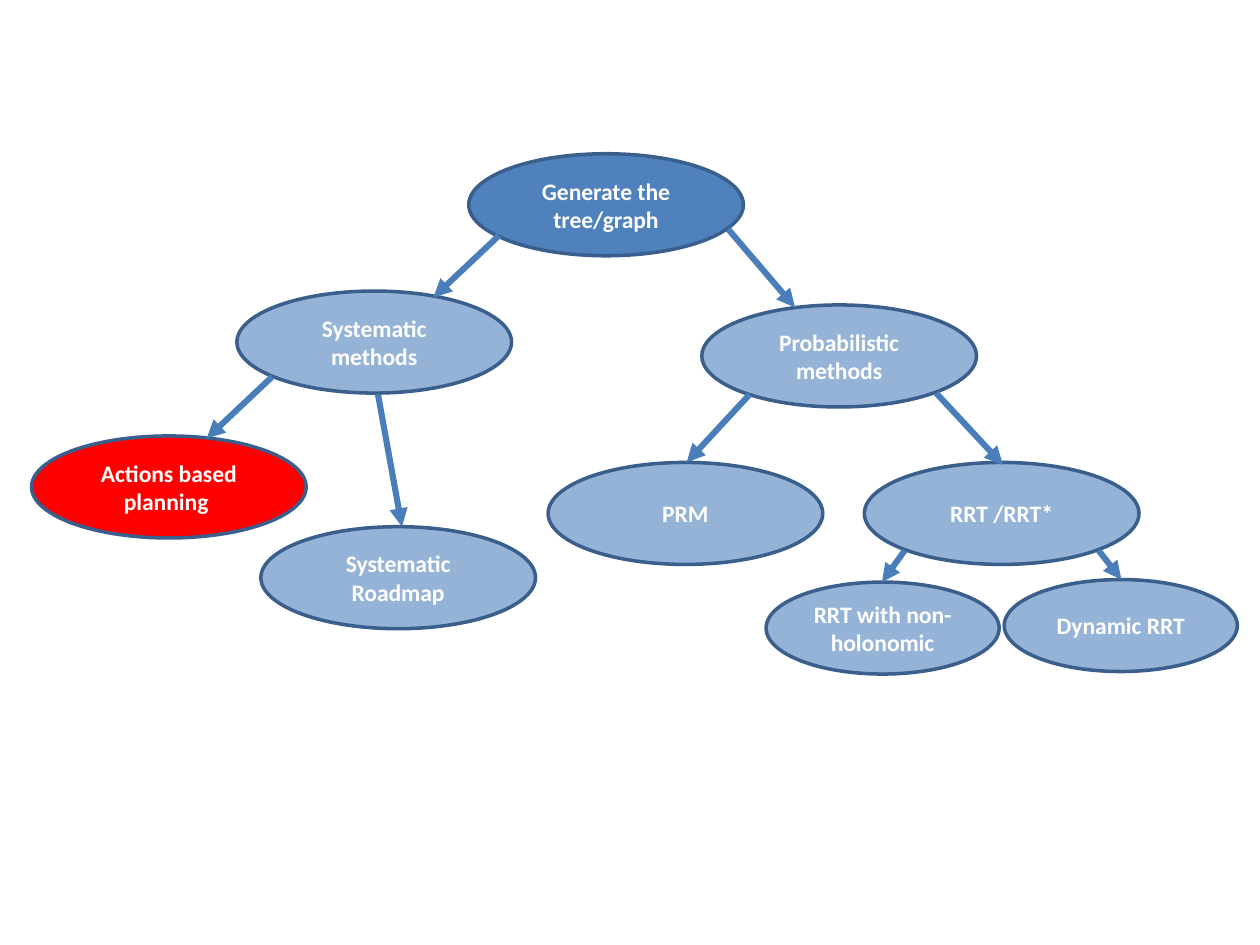
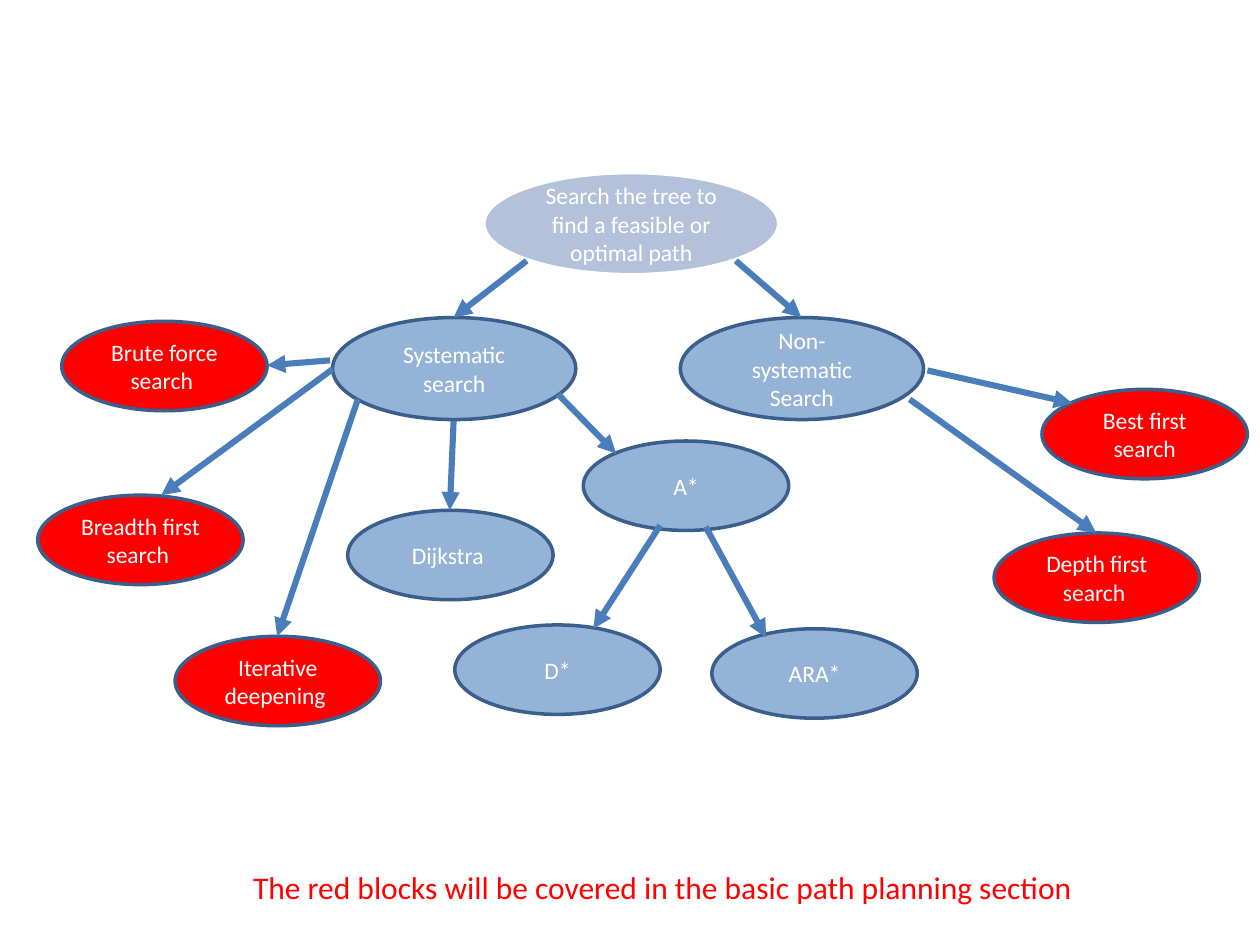
from pptx import Presentation
from pptx.dml.color import RGBColor
from pptx.enum.shapes import MSO_CONNECTOR, MSO_SHAPE
from pptx.enum.text import MSO_ANCHOR, PP_ALIGN
from pptx.oxml.ns import qn
from pptx.util import Pt
from lxml.etree import SubElement

PX = 9144  # EMU in one px, 100 px to the inch

WHITE = RGBColor(0xFF, 0xFF, 0xFF)
RED = RGBColor(0xFF, 0x00, 0x00)
BLUE = RGBColor(0x4F, 0x81, 0xBD)
LIGHT = RGBColor(0x95, 0xB3, 0xD7)
PALE = RGBColor(0xB3, 0xC1, 0xDB)
OUTLINE = RGBColor(0x3A, 0x5F, 0x8C)
ARROW = RGBColor(0x4A, 0x7E, 0xBB)

# Node sizes: width, height
METHOD = (218, 81)
VARIANT = (185, 73)
GOAL = (234, 81)
FAMILY = (193, 81)
ALGORITHM = (163, 71)

# Nodes: text, left, top, size, fill; arrows: from x, y, to x, y
METHOD_NODES = [
    ("Generate the tree/graph", 347, 0, METHOD, BLUE),
    ("Systematic methods", 163, 109, METHOD, LIGHT),
    ("Probabilistic methods", 532, 120, METHOD, LIGHT),
    ("Actions based planning ", 0, 224, METHOD, RED),
    ("Systematic Roadmap", 182, 296, METHOD, LIGHT),
    ("PRM", 410, 245, METHOD, LIGHT),
    ("RRT /RRT*", 661, 245, METHOD, LIGHT),
    ("RRT with non-holonomic", 583, 340, VARIANT, LIGHT),
    ("Dynamic RRT", 772, 338, VARIANT, LIGHT),
]
METHOD_ARROWS = [
    (371, 65, 319, 114),
    (553, 60, 606, 122),
    (191, 177, 139, 226),
    (275, 191, 294, 296),
    (570, 191, 520, 245),
    (718, 190, 771, 247),
    (693, 315, 675, 340),
    (847, 315, 865, 338),
]
SEARCH_NODES = [
    ("Search the tree to find a feasible or optimal path", 354, 0, GOAL, PALE),
    ("Systematic search", 234, 115, FAMILY, LIGHT),
    ("Non-systematic Search", 510, 115, FAMILY, LIGHT),
    ("Brute force search ", 19, 118, ALGORITHM, RED),
    ("Breadth first search ", 0, 256, ALGORITHM, RED),
    ("Iterative deepening ", 109, 368, ALGORITHM, RED),
    ("Dijkstra ", 246, 268, ALGORITHM, LIGHT),
    ("A*", 433, 213, ALGORITHM, LIGHT),
    ("D*", 331, 359, ALGORITHM, LIGHT),
    ("ARA*", 535, 362, ALGORITHM, LIGHT),
    ("Best first search", 797, 172, ALGORITHM, RED),
    ("Depth first search ", 759, 286, ALGORITHM, RED),
]
SEARCH_ARROWS = [
    (388, 70, 330, 115),
    (554, 70, 606, 115),
    (232, 149, 182, 153),
    (234, 156, 98, 256),
    (254, 180, 190, 368),
    (330, 197, 327, 268),
    (413, 176, 459, 223),
    (494, 280, 441, 362),
    (530, 281, 578, 369),
    (706, 157, 821, 183),
    (692, 180, 840, 286),
]


def px(*lengths):
    return [n * PX for n in lengths]


def write(tf, text, color, align, **font):
    tf.word_wrap = True
    p = tf.paragraphs[0]
    p.alignment = align
    r = p.add_run()
    r.text = text
    r.font.color.rgb = color
    for name, value in {"name": "Calibri", **font}.items():
        setattr(r.font, name, value)


def add_node(s, text, x, y, size, fill, bold):
    sp = s.shapes.add_shape(MSO_SHAPE.OVAL, *px(x, y, *size))
    sp.shadow.inherit = False
    sp.fill.solid()
    sp.fill.fore_color.rgb = fill
    sp.line.color.rgb = WHITE if fill == PALE else OUTLINE
    sp.line.width = Pt(2)
    sp.text_frame.vertical_anchor = MSO_ANCHOR.MIDDLE
    write(sp.text_frame, text, WHITE, PP_ALIGN.CENTER, size=Pt(13.5), bold=bold)


def add_arrow(s, x1, y1, x2, y2):
    line = s.shapes.add_connector(MSO_CONNECTOR.STRAIGHT, *px(x1, y1, x2, y2))
    line.line.color.rgb = ARROW
    line.line.width = Pt(3.5)
    SubElement(line.line._get_or_add_ln(), qn("a:tailEnd"), type="triangle")
    SubElement(line._element.spPr, qn("a:effectLst"))


def add_tree(s, box, nodes, arrows, bold=False):
    left, top = box
    for text, x, y, size, fill in nodes:
        add_node(s, text, left + x, top + y, size, fill, bold)
    for x1, y1, x2, y2 in arrows:
        add_arrow(s, left + x1, top + y1, left + x2, top + y2)


def add_caption(s, box, text):
    tf = s.shapes.add_textbox(*px(*box)).text_frame
    write(tf, text, RED, PP_ALIGN.LEFT, size=Pt(18))


def main():
    prs = Presentation()
    prs.slide_width, prs.slide_height = px(1000, 750)
    blank = prs.slide_layouts[6]

    # Ways to generate the tree
    s = prs.slides.add_slide(blank)
    add_tree(s, (25, 122), METHOD_NODES, METHOD_ARROWS, bold=True)

    # Ways to search the tree
    s = prs.slides.add_slide(blank)
    add_tree(s, (30, 137), SEARCH_NODES, SEARCH_ARROWS)
    add_caption(s, (191, 684, 679, 70),
                "The red blocks will be covered in the basic path planning section")

    prs.save("out.pptx")


if __name__ == "__main__":
    main()
